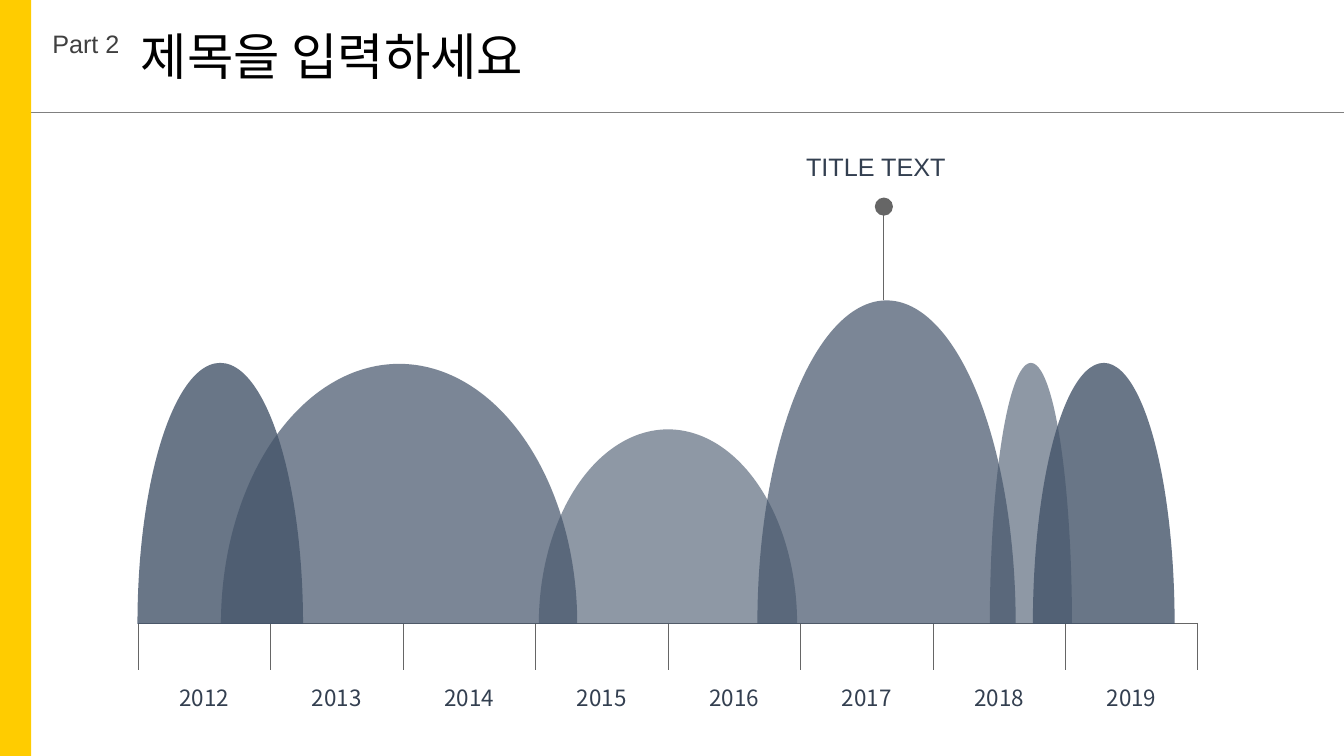
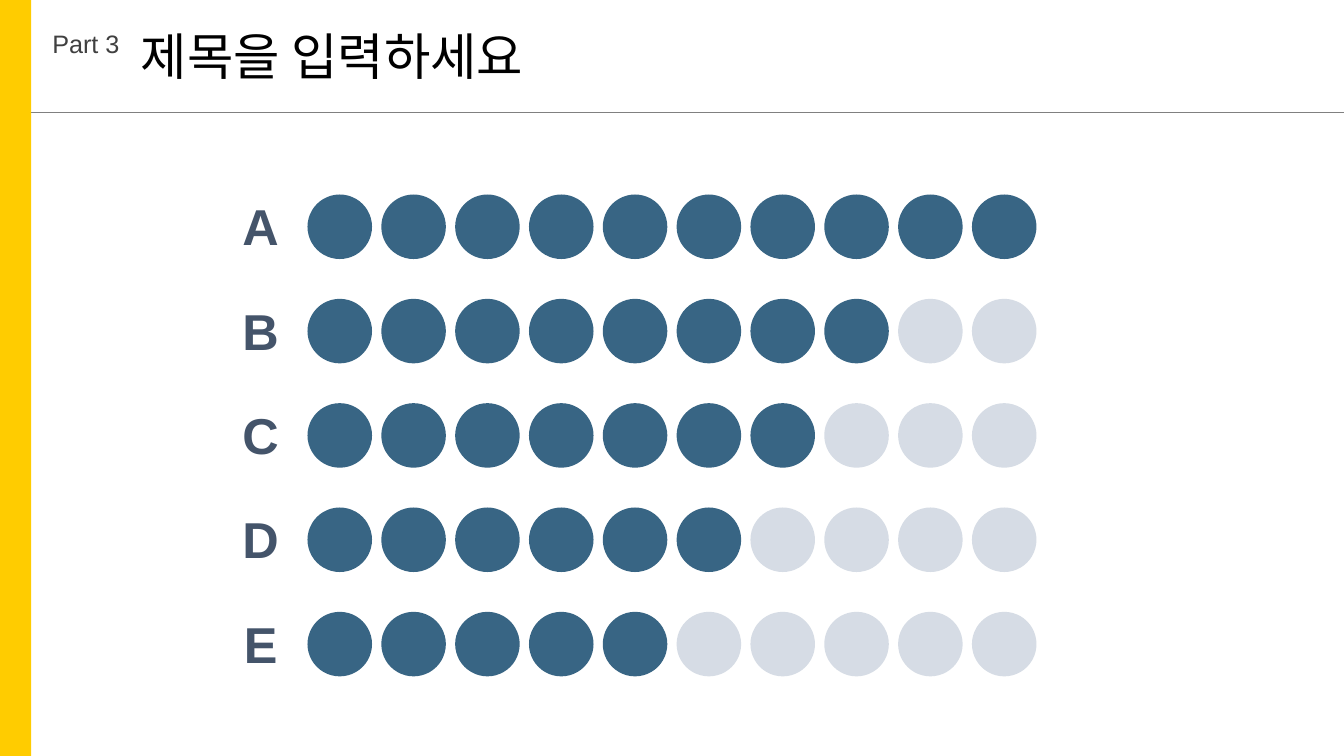
from dataclasses import dataclass

from lxml import etree
from pptx import Presentation
from pptx.dml.color import RGBColor
from pptx.enum.shapes import MSO_CONNECTOR, MSO_SHAPE
from pptx.enum.text import MSO_AUTO_SIZE, PP_ALIGN
from pptx.oxml.ns import qn
from pptx.util import Inches, Pt

STRAIGHT = MSO_CONNECTOR.STRAIGHT
RECTANGLE, OVAL, CHORD = MSO_SHAPE.RECTANGLE, MSO_SHAPE.OVAL, MSO_SHAPE.CHORD
LEFT, CENTER = PP_ALIGN.LEFT, PP_ALIGN.CENTER
FIT_SHAPE = MSO_AUTO_SIZE.SHAPE_TO_FIT_TEXT


@dataclass(frozen=True)
class Theme:
    band: str = "FFCC00"
    rule: str = "808080"
    section: str = "404040"
    title: str = "000000"
    axis: str = "666666"
    label: str = "333F50"
    slate: str = "44546A"
    dot_on: str = "386584"
    dot_off: str = "D6DCE5"
    font: str = "Arial"
    year_font: str = "Noto Sans CJK KR"
    title_size: int = 36
    label_size: int = 18
    year_size: int = 16
    line_width: float = 0.5


THEME = Theme()
WIDTH, HEIGHT = 13.33, 7.5
BAND_WIDTH = 0.31
HEADER_BOTTOM = 1.11
TITLE = "제목을 입력하세요"

# Timeline: humps are (middle year, width in years, height in inches, opacity %)
YEARS = range(2012, 2020)
HUMPS = [
    (2012.62, 1.25, 2.59, 80),
    (2013.97, 2.69, 2.58, 70),
    (2019.29, 1.07, 2.59, 80),
    (2018.74, 0.62, 2.59, 60),
    (2016.00, 1.95, 1.93, 60),
    (2017.65, 1.95, 3.21, 70),
]
CALLOUT = {"text": "TITLE TEXT", "text_year": 2017.57, "year": 2017.63}
AXIS_LEFT, AXIS_RIGHT, AXIS_TOP, TICK = 1.37, 11.88, 6.18, 0.47
YEAR_WIDTH = (AXIS_RIGHT - AXIS_LEFT) / len(YEARS)

# Dot rating
SCORES = {"A": 10, "B": 8, "C": 7, "D": 6, "E": 5}
DOTS_PER_ROW = 10
DOT = 0.64
DOTS_LEFT, DOTS_TOP = 3.05, 1.93
COLUMN_PITCH = (9.64 - DOTS_LEFT) / (DOTS_PER_ROW - 1)
ROW_PITCH = (6.07 - DOTS_TOP) / (len(SCORES) - 1)


def add_filled(shapes, kind, left, top, width, height, color, opacity=100):
    shape = shapes.add_shape(kind, Inches(left), Inches(top), Inches(width), Inches(height))
    shape.shadow.inherit = False
    shape.line.fill.background()
    shape.fill.solid()
    shape.fill.fore_color.rgb = RGBColor.from_string(color)
    if opacity < 100:
        color_element = shape.element.spPr.find(".//" + qn("a:srgbClr"))
        etree.SubElement(color_element, qn("a:alpha")).set("val", str(opacity * 1000))
    return shape


def add_line(shapes, x1, y1, x2, y2, color):
    line = shapes.add_connector(STRAIGHT, Inches(x1), Inches(y1), Inches(x2), Inches(y2))
    line.line.color.rgb = RGBColor.from_string(color)
    line.line.width = Pt(THEME.line_width)
    etree.SubElement(line.element.spPr, qn("a:effectLst"))


def add_text(slide, text, left, top, width, height, size, color,
             font=THEME.font, align=LEFT, bold=False):
    box = slide.shapes.add_textbox(Inches(left), Inches(top), Inches(width), Inches(height))
    frame = box.text_frame
    frame.word_wrap = False
    frame.auto_size = FIT_SHAPE
    frame.text = text
    paragraph = frame.paragraphs[0]
    paragraph.alignment = align
    run_font = paragraph.runs[0].font
    run_font.name, run_font.size, run_font.bold = font, Pt(size), bold
    run_font.color.rgb = RGBColor.from_string(color)


def add_base_slide(presentation, section):
    """Add a blank slide with the side band, section label, title and rule."""
    slide = presentation.slides.add_slide(presentation.slide_layouts[6])
    add_line(slide.shapes, BAND_WIDTH, HEADER_BOTTOM, WIDTH, HEADER_BOTTOM, THEME.rule)
    add_text(slide, section, 0.42, 0.23, 0.88, 0.4, THEME.label_size, THEME.section)
    add_text(slide, TITLE, 1.3, 0.2, 4.02, 0.71, THEME.title_size, THEME.title)
    add_filled(slide.shapes, RECTANGLE, 0, 0, BAND_WIDTH, HEIGHT, THEME.band)
    return slide


def year_x(year):
    return AXIS_LEFT + (year - YEARS[0]) * YEAR_WIDTH


def add_hump(slide, year, years_wide, height, opacity):
    """Draw half an ellipse standing on the axis, as a chord turned upright."""
    length, thickness = 2 * height, years_wide * YEAR_WIDTH
    hump = add_filled(slide.shapes, CHORD, year_x(year) - length / 2,
                      AXIS_TOP + 0.01 - thickness / 2, length, thickness,
                      THEME.slate, opacity)
    hump.adjustments[0], hump.adjustments[1] = 54, 162
    hump.rotation = 90


def add_axis(slide):
    for year in YEARS:
        add_text(slide, str(year), year_x(year + 0.5) - 0.38, 6.74, 0.76, 0.37,
                 THEME.year_size, THEME.label, THEME.year_font, CENTER)
    axis = slide.shapes.add_group_shape().shapes
    add_line(axis, AXIS_LEFT, AXIS_TOP, AXIS_RIGHT, AXIS_TOP, THEME.axis)
    for index in range(len(YEARS) + 1):
        x = AXIS_LEFT + index * YEAR_WIDTH
        add_line(axis, x, AXIS_TOP, x, AXIS_TOP + TICK, THEME.axis)


def add_callout(slide):
    x, marker = year_x(CALLOUT["year"]), 0.18
    marker_middle = 2.05
    add_line(slide.shapes, x, 2.98, x, marker_middle, THEME.axis)
    add_filled(slide.shapes, OVAL, x - marker / 2, marker_middle - marker / 2,
               marker, marker, THEME.axis)
    add_text(slide, CALLOUT["text"], year_x(CALLOUT["text_year"]) - 0.8, 1.45, 1.6, 0.4,
             THEME.label_size, THEME.label, align=CENTER)


def build_timeline(presentation):
    slide = add_base_slide(presentation, "Part 2")
    add_axis(slide)
    for hump in HUMPS:
        add_hump(slide, *hump)
    add_callout(slide)


def build_rating(presentation):
    slide = add_base_slide(presentation, "Part 3")
    for row, (name, score) in enumerate(SCORES.items()):
        top = DOTS_TOP + row * ROW_PITCH
        dots = slide.shapes.add_group_shape().shapes
        for column in range(DOTS_PER_ROW):
            color = THEME.dot_on if column < score else THEME.dot_off
            add_filled(dots, OVAL, DOTS_LEFT + column * COLUMN_PITCH, top, DOT, DOT, color)
        add_text(slide, name, 2.3, top - 0.04, 0.57, 0.71, THEME.title_size,
                 THEME.slate, align=CENTER, bold=True)


def main():
    presentation = Presentation()
    presentation.slide_width, presentation.slide_height = Inches(WIDTH), Inches(HEIGHT)
    build_timeline(presentation)
    build_rating(presentation)
    presentation.save("out.pptx")


if __name__ == "__main__":
    main()
